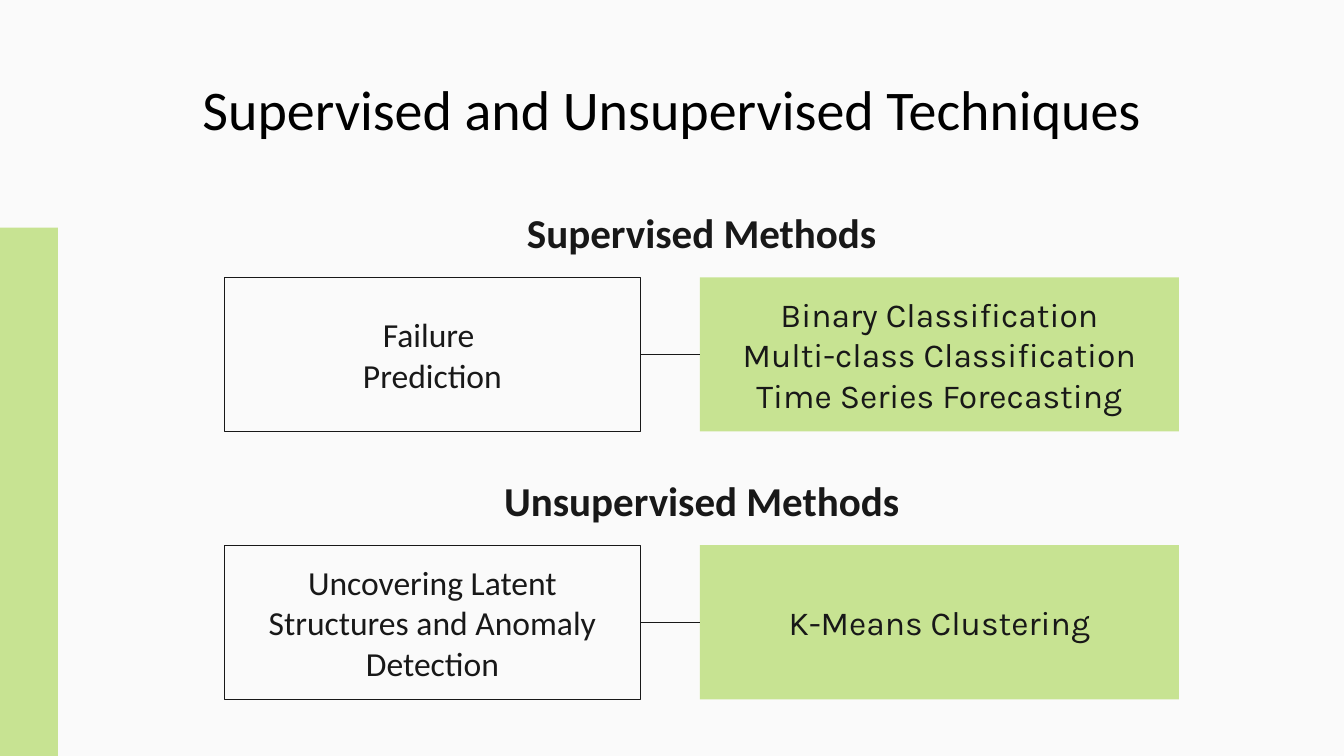
from dataclasses import dataclass

from lxml import etree
from pptx import Presentation
from pptx.dml.color import RGBColor
from pptx.enum.shapes import MSO_CONNECTOR, MSO_SHAPE
from pptx.enum.text import MSO_ANCHOR, PP_ALIGN
from pptx.oxml.ns import qn
from pptx.util import Pt

CENTER = PP_ALIGN.CENTER
MIDDLE = MSO_ANCHOR.MIDDLE
RECTANGLE = MSO_SHAPE.RECTANGLE
STRAIGHT = MSO_CONNECTOR.STRAIGHT
LEFT_SIDE, RIGHT_SIDE = 1, 3


@dataclass(frozen=True)
class Theme:
    background: RGBColor = RGBColor(0xFA, 0xFA, 0xFA)
    accent: RGBColor = RGBColor(0xC7, 0xE3, 0x92)
    ink: RGBColor = RGBColor(0x18, 0x18, 0x18)
    title_ink: RGBColor = RGBColor(0, 0, 0)
    main_font: str = "Calibri"
    method_font: str = "Karla"
    title_size: float = 30
    heading_size: float = 22
    body_size: float = 18
    line_width: float = 0.75


THEME = Theme()

# Layout in points
SLIDE_WIDTH, SLIDE_HEIGHT = 720, 405
GOAL_LEFT, GOAL_WIDTH = 120.4, 222.6
METHODS_LEFT, METHODS_WIDTH = 375, 256.5
HEADING_WIDTH = METHODS_LEFT + METHODS_WIDTH - GOAL_LEFT
HEADING_HEIGHT = 47
HEADING_TO_BOXES = 47.6
BOX_HEIGHT = 82.6
FIRST_GROUP_TOP, GROUP_STEP = 101, 143.5
SIDEBAR_TOP, SIDEBAR_WIDTH = 121.9, 31
INSET = 7.2

# Heading, goal lines, method lines
GROUPS = [
    ("Supervised Methods",
     ["Failure ", "Prediction"],
     ["Binary Classification", "Multi-class Classification",
      "Time Series Forecasting"]),
    ("Unsupervised Methods",
     ["Uncovering Latent Structures and Anomaly Detection"],
     ["K-Means Clustering"]),
]


def write_text(shape, lines, size, font=THEME.main_font, color=THEME.ink,
               bold=False, side_inset=INSET):
    frame = shape.text_frame
    frame.word_wrap = True
    frame.vertical_anchor = MIDDLE
    frame.margin_left = frame.margin_right = Pt(side_inset)
    frame.margin_top = frame.margin_bottom = Pt(INSET)
    frame.text = "\n".join(lines)
    for paragraph in frame.paragraphs:
        paragraph.alignment = CENTER
        paragraph.font.name = font
        paragraph.font.size = Pt(size)
        paragraph.font.bold = bold
        paragraph.font.color.rgb = color


def add_label(slide, left, top, width, height, text, size, **style):
    label = slide.shapes.add_textbox(Pt(left), Pt(top), Pt(width), Pt(height))
    write_text(label, [text], size, **style)


def add_box(slide, left, top, width, height, fill=None):
    """Add a filled box, or an outlined one when no fill is given."""
    box = slide.shapes.add_shape(
        RECTANGLE, Pt(left), Pt(top), Pt(width), Pt(height))
    box.shadow.inherit = False
    if fill is None:
        box.fill.background()
        box.line.color.rgb = THEME.ink
        box.line.width = Pt(THEME.line_width)
    else:
        box.fill.solid()
        box.fill.fore_color.rgb = fill
        box.line.fill.background()
    return box


def join_boxes(slide, start, end):
    link = slide.shapes.add_connector(STRAIGHT, 0, 0, 0, 0)
    link.begin_connect(start, RIGHT_SIDE)
    link.end_connect(end, LEFT_SIDE)
    link.line.color.rgb = THEME.ink
    link.line.width = Pt(THEME.line_width)
    etree.SubElement(link._element.spPr, qn("a:effectLst"))


def add_group(slide, top, heading, goal_lines, method_lines):
    add_label(slide, GOAL_LEFT, top, HEADING_WIDTH, HEADING_HEIGHT, heading,
              THEME.heading_size, bold=True, side_inset=0)
    box_top = top + HEADING_TO_BOXES
    methods = add_box(slide, METHODS_LEFT, box_top, METHODS_WIDTH, BOX_HEIGHT,
                      THEME.accent)
    write_text(methods, method_lines, THEME.body_size, THEME.method_font)
    goal = add_box(slide, GOAL_LEFT, box_top, GOAL_WIDTH, BOX_HEIGHT)
    write_text(goal, goal_lines, THEME.body_size)
    join_boxes(slide, goal, methods)


def main():
    deck = Presentation()
    deck.slide_width, deck.slide_height = Pt(SLIDE_WIDTH), Pt(SLIDE_HEIGHT)
    slide = deck.slides.add_slide(deck.slide_layouts[6])
    slide.background.fill.solid()
    slide.background.fill.fore_color.rgb = THEME.background

    # Title
    add_label(slide, 36, 35.6, 648, 45,
              "Supervised and Unsupervised Techniques",
              THEME.title_size, color=THEME.title_ink)

    # Sidebar
    add_box(slide, 0, SIDEBAR_TOP, SIDEBAR_WIDTH, SLIDE_HEIGHT - SIDEBAR_TOP,
            THEME.accent)

    # Method groups
    for index, group in enumerate(GROUPS):
        add_group(slide, FIRST_GROUP_TOP + index * GROUP_STEP, *group)

    deck.save("out.pptx")


if __name__ == "__main__":
    main()
